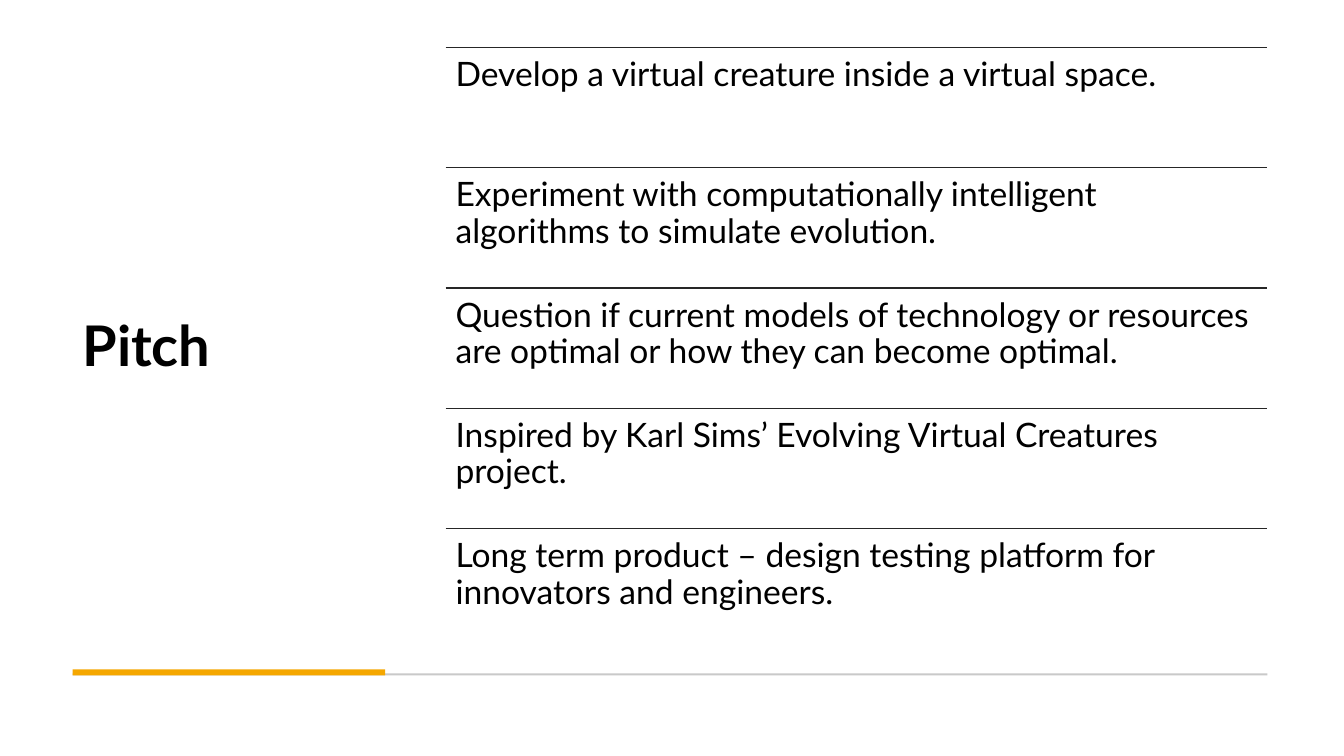
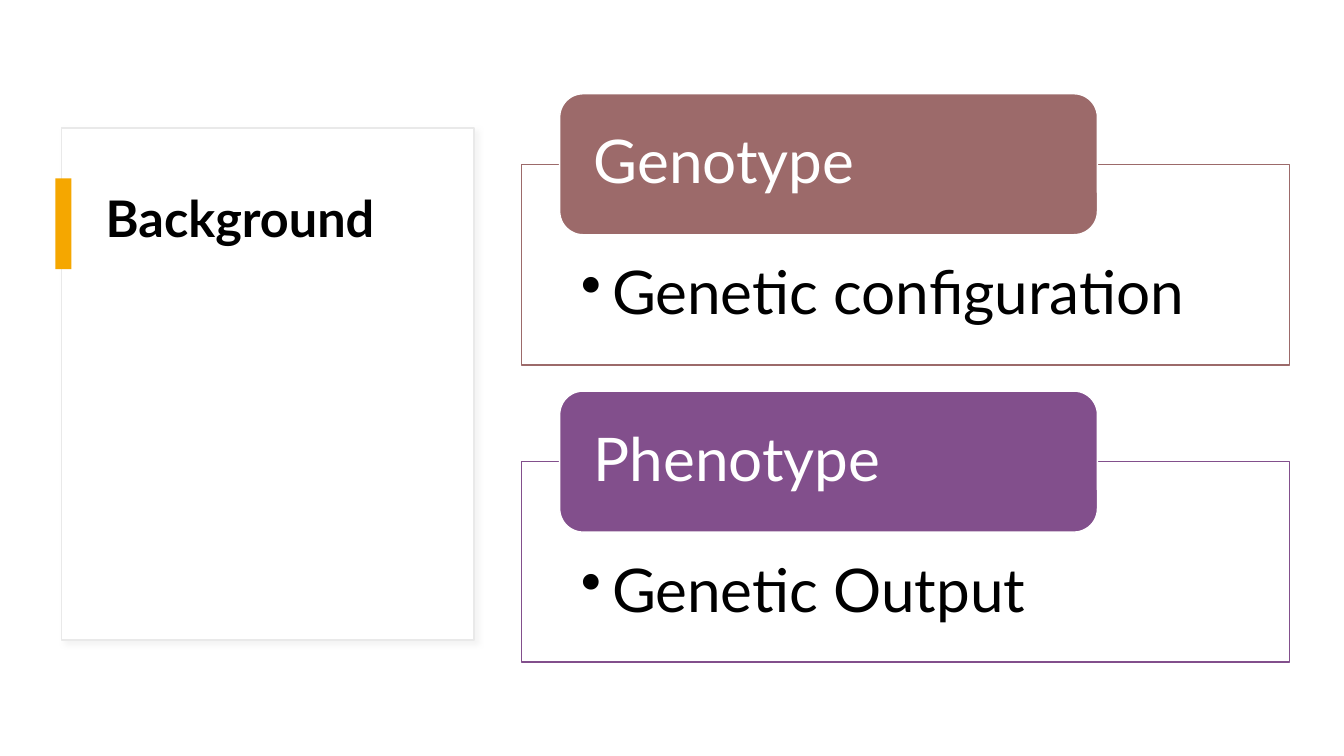
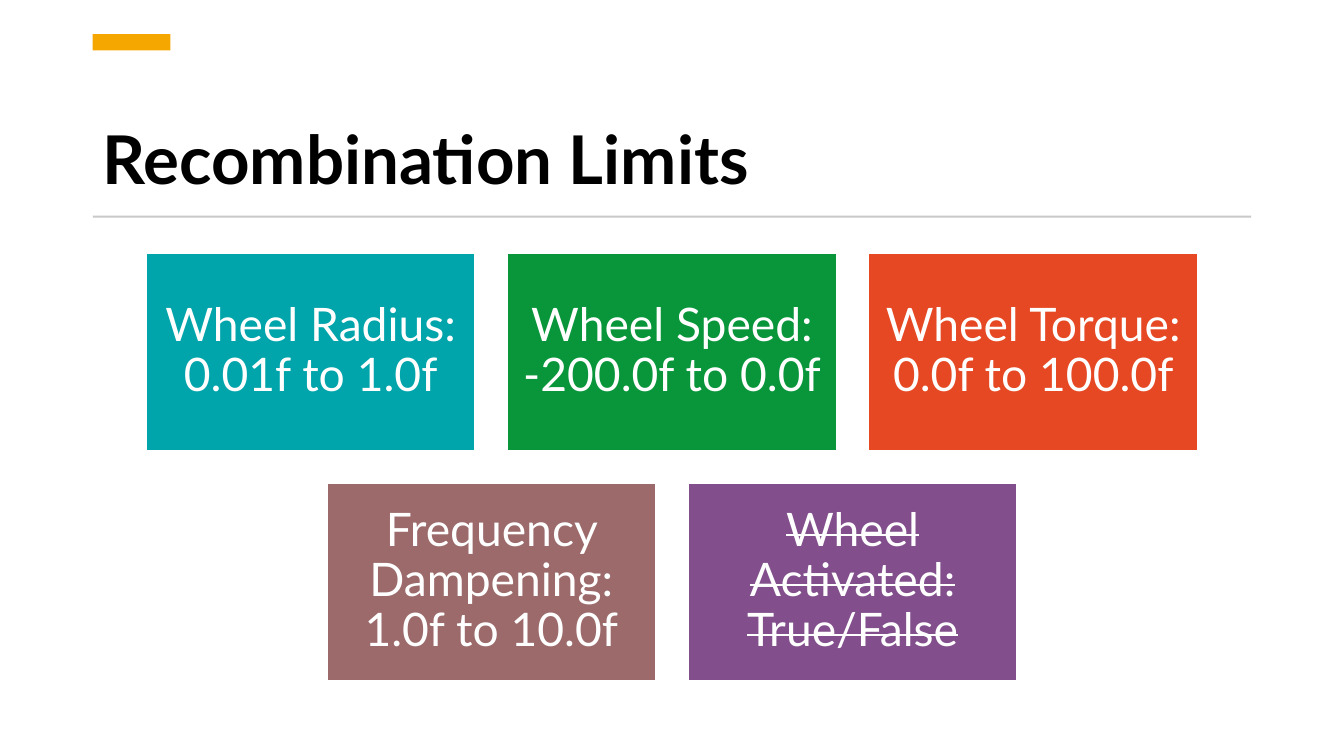
from lxml import etree
from pptx import Presentation
from pptx.dml.color import RGBColor
from pptx.enum.shapes import MSO_CONNECTOR, MSO_SHAPE
from pptx.enum.text import MSO_ANCHOR, PP_ALIGN
from pptx.oxml.ns import qn
from pptx.util import Inches, Pt

RECT, ROUND = MSO_SHAPE.RECTANGLE, MSO_SHAPE.ROUNDED_RECTANGLE
LINE = MSO_CONNECTOR.STRAIGHT
TOP, MID, LOW = MSO_ANCHOR.TOP, MSO_ANCHOR.MIDDLE, MSO_ANCHOR.BOTTOM
LEFT, MIDDLE = PP_ALIGN.LEFT, PP_ALIGN.CENTER

WIDE, HIGH = 13.33, 7.5
FONT = "Lato"
BLACK, WHITE, INK = "000000", "FFFFFF", "262626"
GOLD, GREY, PALE, SHADE = "F5A700", "C9C9C9", "E9E9E9", "D9D9D9"
TEAL, GREEN, RED, ROSE, PLUM = "00A5AB", "09963B", "E64823", "9C6A6A", "824F8C"


def rgb(code):
    return RGBColor.from_string(code)


def put(item, values):
    for name, value in values.items():
        setattr(item, name, value)


def write(shape, text, size, color=BLACK, bold=False, anchor=TOP,
          align=LEFT, pad=(0.1, 0.05, 0.1, 0.05)):
    """Fill a shape with one paragraph; pad is left, top, right, bottom."""
    frame = shape.text_frame
    sides = ("margin_left", "margin_top", "margin_right", "margin_bottom")
    put(frame, {"word_wrap": True, "vertical_anchor": anchor,
                **dict(zip(sides, map(Inches, pad)))})
    para = frame.paragraphs[0]
    put(para, {"alignment": align, "line_spacing": 0.9})
    run = para.add_run()
    run.text = text
    put(run.font, {"name": FONT, "size": Pt(size), "bold": bold})
    run.font.color.rgb = rgb(color)
    return para


def label(slide, box, text, size, **look):
    return write(slide.shapes.add_textbox(*map(Inches, box)), text, size, **look)


def title(slide, box, text, size, anchor):
    label(slide, box, text, size, bold=True, anchor=anchor)


def block(slide, box, fill, line=None, kind=RECT):
    shape = slide.shapes.add_shape(kind, *map(Inches, box))
    shape.shadow.inherit = False
    shape.fill.solid()
    shape.fill.fore_color.rgb = rgb(fill)
    if line:
        shape.line.color.rgb = rgb(line)
        shape.line.width = Pt(1)
    else:
        shape.line.fill.background()
    return shape


def rule(slide, x, y, width):
    """Thin line across the top of a row."""
    ends = map(Inches, (x, y, x + width, y))
    line = slide.shapes.add_connector(LINE, *ends)
    line.line.color.rgb = rgb(INK)
    line.line.width = Pt(1)
    etree.SubElement(line._element.spPr, qn("a:effectLst"))


def shade(shape):
    """Soft shadow to the lower right."""
    effects = shape._element.spPr.find(qn("a:effectLst"))
    outer = etree.SubElement(effects, qn("a:outerShdw"), blurRad=str(Pt(4)),
                             dist=str(Pt(3)), dir="2700000", algn="tl")
    color = etree.SubElement(outer, qn("a:srgbClr"), val=SHADE)
    etree.SubElement(color, qn("a:alpha"), val="30000")


def bullet(para, indent):
    props = para._p.get_or_add_pPr()
    props.set("marL", str(Inches(indent)))
    props.set("indent", str(-Inches(indent)))
    etree.SubElement(props, qn("a:buChar"), char="•")


def rows(slide, box, texts):
    """Equal rows of text, each under a rule."""
    x, y, width, height = box
    step = height / len(texts)
    for i, text in enumerate(texts):
        top = y + i * step
        rule(slide, x, top, width)
        label(slide, (x, top, width, step), text, 24, pad=(0.1,) * 4)


def panel(slide, box, color, head, text):
    """Framed point with a tag over its top edge."""
    x, y, width, height = box
    tall = height * 0.52
    frame = block(slide, (x, y + tall / 2, width, height - tall / 2),
                  WHITE, color)
    para = write(frame, text, 43, pad=(0.59, 0.98, 0.59, 0.33))
    bullet(para, 0.31)
    tag = block(slide, (x + width * 0.05, y, width * 0.7, tall),
                color, WHITE, ROUND)
    write(tag, head, 43, WHITE, anchor=MID, pad=(0.27, 0, 0.27, 0))


def cards(slide, box, lines, gap=0.32):
    """Rows of equal cards, each row centred in the box."""
    x, y, width, height = box
    most = max(map(len, lines))
    wide = (width - gap * (most - 1)) / most
    tall = (height - gap * (len(lines) - 1)) / len(lines)
    for r, line in enumerate(lines):
        start = x + (most - len(line)) * (wide + gap) / 2
        for c, (color, text, struck) in enumerate(line):
            place = (start + c * (wide + gap), y + r * (tall + gap), wide, tall)
            card = block(slide, place, color, WHITE)
            para = write(card, text, 33, WHITE, anchor=MID, align=MIDDLE,
                         pad=(0.14,) * 4)
            if struck:
                para.runs[0]._r.get_or_add_rPr().set("strike", "sngStrike")


def pitch(slide):
    x, y, width, height = 0.72, 0.47, 11.85, 5.97
    title(slide, (x, y, 3.1, height), "Pitch", 40, MID)
    # Foot lines
    block(slide, (x, 6.68, width, 0.02), GREY)
    block(slide, (x, 6.64, 3.1, 0.06), GOLD)
    rows(slide, (x + 3.7, y, width - 3.7, height), [
        "Develop a virtual creature inside a virtual space.",
        "Experiment with computationally intelligent algorithms to simulate evolution.",
        "Question if current models of technology or resources are optimal or how they can become optimal.",
        "Inspired by Karl Sims’ Evolving Virtual Creatures project.",
        "Long term product – design testing platform for innovators and engineers.",
    ])


def back(slide):
    # Title card
    x, y = 0.61, 1.27
    shade(block(slide, (x, y, 4.09, 5.08), WHITE, PALE))
    title(slide, (x + 0.34, y + 0.61, 3.39, 3.85), "Background", 36, TOP)
    block(slide, (x - 0.06, y + 0.5, 0.16, 0.9), GOLD)
    # Points
    points = [(ROSE, "Genotype", "Genetic configuration"),
              (PLUM, "Phenotype", "Genetic Output")]
    for i, point in enumerate(points):
        panel(slide, (5.17, 0.93 + i * 2.95, 7.62, 2.69), *point)


def limits(slide):
    x, width = 0.92, 11.49
    title(slide, (x, 0.75, width, 1.27), "Recombination Limits", 48, LOW)
    block(slide, (x, 0.34, 0.77, 0.16), GOLD)
    block(slide, (x, 2.14, width, 0.02), GREY)
    cards(slide, (1.45, 2.51, 10.43, 4.24), [
        [(TEAL, "Wheel Radius: 0.01f to 1.0f", False),
         (GREEN, "Wheel Speed: -200.0f to 0.0f", False),
         (RED, "Wheel Torque: 0.0f to 100.0f", False)],
        [(ROSE, "Frequency Dampening: 1.0f to 10.0f", False),
         (PLUM, "Wheel Activated: True/False", True)],
    ])


def main():
    deck = Presentation()
    put(deck, {"slide_width": Inches(WIDE), "slide_height": Inches(HIGH)})
    for build in (pitch, back, limits):
        build(deck.slides.add_slide(deck.slide_layouts[6]))
    deck.save("out.pptx")


if __name__ == "__main__":
    main()
